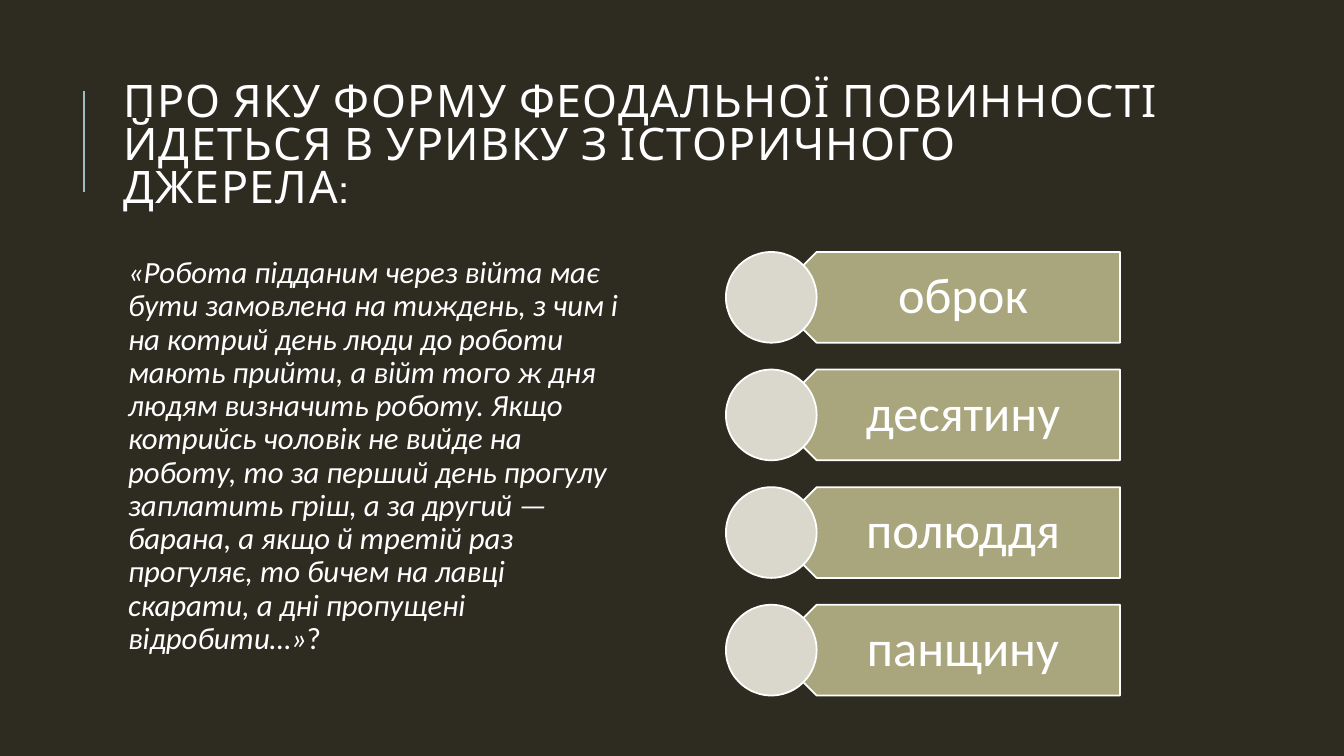
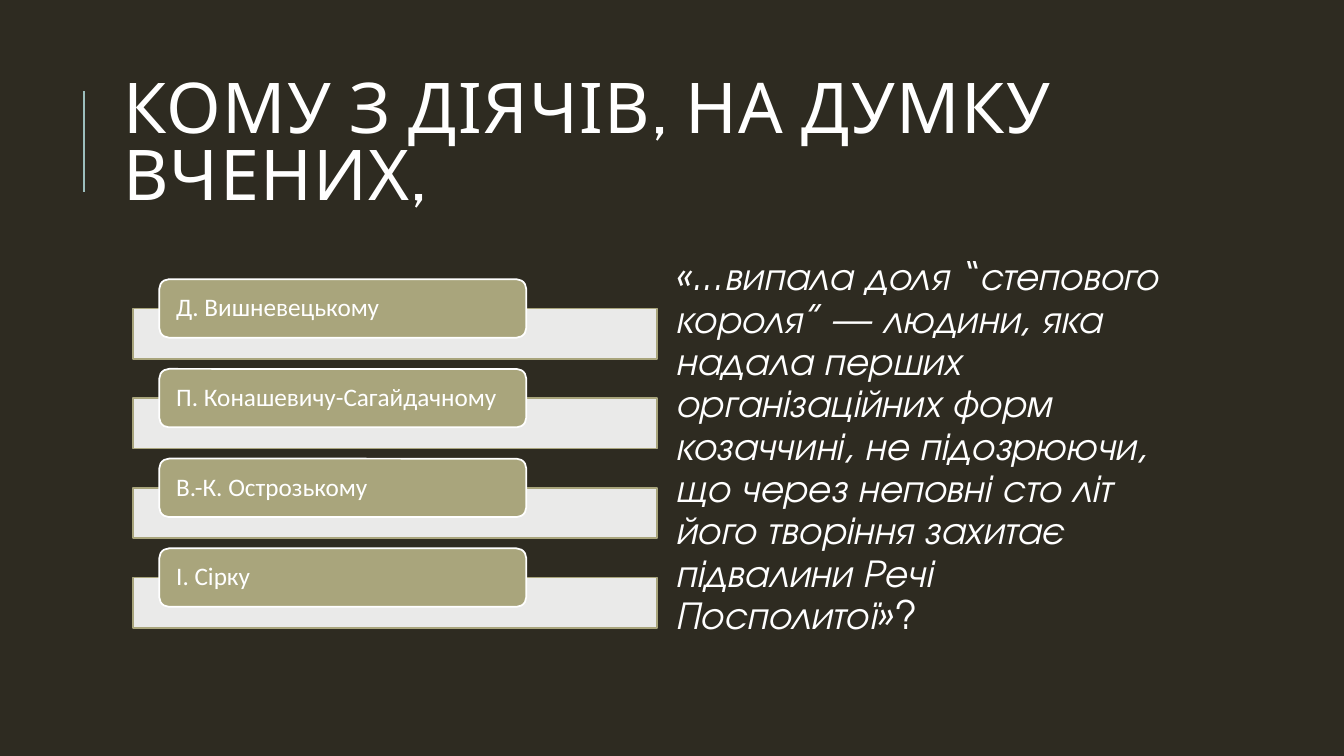
import pptx
import pptx.util
import pptx.dml.color
import pptx.enum.shapes
import pptx.enum.text
import pptx.oxml.ns
import pptx.oxml.xmlchemy
from pptx.util import Inches

COLORS = {
    "background": "2E2B21",
    "text": "FFFFFF",
    "accent": "9CBEBD",
    "answer": "A9A57C",
    "marker": "DAD8CC",
}
SHAPES = pptx.enum.shapes.MSO_SHAPE
ANCHOR = pptx.enum.text.MSO_ANCHOR
ALIGN = pptx.enum.text.PP_ALIGN

TITLE_FRAME = {"word_wrap": True, "auto_size": pptx.enum.text.MSO_AUTO_SIZE.NONE,
               "vertical_anchor": ANCHOR.MIDDLE}
QUOTE_FRAME = {"word_wrap": True, "vertical_anchor": ANCHOR.TOP,
               "margin_left": Inches(0.15), "margin_right": Inches(0.05),
               "margin_top": Inches(0.05), "margin_bottom": Inches(0.05)}
ARROW_FRAME = {"word_wrap": True, "vertical_anchor": ANCHOR.MIDDLE,
               "margin_left": Inches(0.4), "margin_right": Inches(0.28),
               "margin_top": Inches(0.15), "margin_bottom": Inches(0.15)}
TAB_FRAME = {"word_wrap": True, "vertical_anchor": ANCHOR.MIDDLE,
             "margin_left": Inches(0.14), "margin_right": Inches(0.14),
             "margin_top": 0, "margin_bottom": 0}

DUTY_TITLE = "ПРО ЯКУ ФОРМУ ФЕОДАЛЬНОЇ ПОВИННОСТІ ЙДЕТЬСЯ В УРИВКУ З ІСТОРИЧНОГО ДЖЕРЕЛА:"
DUTY_QUOTE = (
    "«Робота підданим через війта має бути замовлена на тиждень, з чим і на котрий день "
    "люди до роботи мають прийти, а війт того ж дня людям визначить роботу. Якщо котрийсь "
    "чоловік не вийде на роботу, то за перший день прогулу заплатить гріш, а за другий — "
    "барана, а якщо й третій раз прогуляє, то бичем на лавці скарати, а дні пропущені "
    "відробити…»"
)
DUTIES = ["оброк", "десятину", "полюддя", "панщину"]

LEADER_TITLE = "КОМУ З ДІЯЧІВ, НА ДУМКУ ВЧЕНИХ,"
LEADER_QUOTE = (
    "«...випала доля “степового короля” — людини, яка надала перших організаційних форм "
    "козаччині, не підозрюючи, що через неповні сто літ його творіння захитає підвалини "
    "Речі Посполитої»"
)
LEADERS = ["Д. Вишневецькому", "П. Конашевичу-Сагайдачному", "В.-К. Острозькому", "І. Сірку"]


def rgb(name):
    """Return the palette colour of that name."""
    return pptx.dml.color.RGBColor.from_string(COLORS[name])


def apply(target, values):
    """Set every attribute named in values on the target."""
    for name, value in values.items():
        setattr(target, name, value)


def write(frame, frame_format, pieces, font, size, align=ALIGN.LEFT, spacing=0.9):
    """Fill a text frame with one paragraph of (text, italic) pieces."""
    apply(frame, frame_format)
    paragraph = frame.paragraphs[0]
    apply(paragraph, {"alignment": align, "line_spacing": spacing})
    for text, italic in pieces:
        run = paragraph.add_run()
        run.text = text
        apply(run.font, {"name": font, "size": pptx.util.Pt(size), "italic": italic})
        run.font.color.rgb = rgb("text")
    return paragraph


def add_block(slide, preset, box, fill, outline):
    """Add a flat filled shape with a thin outline."""
    block = slide.shapes.add_shape(preset, *map(Inches, box))
    block.shadow.inherit = False
    block.fill.solid()
    block.fill.fore_color.rgb = rgb(fill)
    block.line.color.rgb = rgb(outline)
    block.line.width = pptx.util.Pt(1.25)
    return block


def add_title(slide, text, size):
    """Place the title and the thin rule to its left."""
    title = slide.shapes.title
    apply(title, {"left": Inches(1.12), "top": Inches(0.64),
                  "width": Inches(10.63), "height": Inches(1.64)})
    paragraph = write(title.text_frame, TITLE_FRAME, [(text, False)], "Cabin", size, spacing=0.8)
    paragraph.runs[0]._r.get_or_add_rPr().set("spc", "100")
    rule = slide.shapes.add_connector(
        pptx.enum.shapes.MSO_CONNECTOR.STRAIGHT,
        Inches(0.83), Inches(1.9), Inches(0.83), Inches(0.9))
    rule.line.color.rgb = rgb("accent")
    rule.line.width = pptx.util.Pt(1.5)
    rule._element.spPr.append(pptx.oxml.xmlchemy.OxmlElement("a:effectLst"))


def add_quote(slide, left, quote, font, size):
    """Add the italic quotation closed by an upright question mark."""
    box = slide.shapes.add_textbox(Inches(left), Inches(2.5), Inches(5.2), Inches(4.4))
    write(box.text_frame, QUOTE_FRAME, [(quote, True), ("?", False)], font, size)


def add_arrow_answer(slide, top, answer):
    """Add a left-pointing answer plate with a round marker at its tip."""
    plate = add_block(slide, SHAPES.PENTAGON, (7.65, top, 3.46, 0.9), "answer", "text")
    plate._element.spPr.find(pptx.oxml.ns.qn("a:xfrm")).set("flipH", "1")
    write(plate.text_frame, ARROW_FRAME, [(answer, False)], "Calibri", 36, ALIGN.CENTER)
    add_block(slide, SHAPES.OVAL, (7.2, top, 0.9, 0.9), "marker", "text")


def add_tab_answer(slide, top, answer):
    """Add a rounded answer tab over a translucent bar."""
    bar = add_block(slide, SHAPES.RECTANGLE, (1.32, top + 0.29, 5.2, 0.5), "text", "answer")
    color = bar._element.spPr.find(".//" + pptx.oxml.ns.qn("a:srgbClr"))
    alpha = pptx.oxml.xmlchemy.OxmlElement("a:alpha")
    alpha.set("val", "90000")
    color.append(alpha)
    tab = add_block(slide, SHAPES.ROUNDED_RECTANGLE, (1.58, top, 3.64, 0.58), "answer", "text")
    write(tab.text_frame, TAB_FRAME, [(answer, False)], "Calibri", 18)


def add_answers(slide, add_answer, answers, top, pitch):
    """Stack the answers at an equal pitch."""
    for index, answer in enumerate(answers):
        add_answer(slide, top + index * pitch, answer)


def main():
    """Build the two question slides."""
    deck = pptx.Presentation()
    apply(deck, {"slide_width": Inches(13.33), "slide_height": Inches(7.5)})
    background = deck.slide_master.background.fill
    background.solid()
    background.fore_color.rgb = rgb("background")
    title_only = deck.slide_layouts[5]

    duty = deck.slides.add_slide(title_only)
    add_title(duty, DUTY_TITLE, 32)
    add_quote(duty, 1.12, DUTY_QUOTE, "Calibri", 22)
    add_answers(duty, add_arrow_answer, DUTIES, 2.5, 3.5 / 3)

    leader = deck.slides.add_slide(title_only)
    add_title(leader, LEADER_TITLE, 50)
    add_answers(leader, add_tab_answer, LEADERS, 2.77, 0.89)
    add_quote(leader, 6.55, LEADER_QUOTE, "TeX Gyre Adventor", 28)

    deck.save("out.pptx")


if __name__ == "__main__":
    main()
